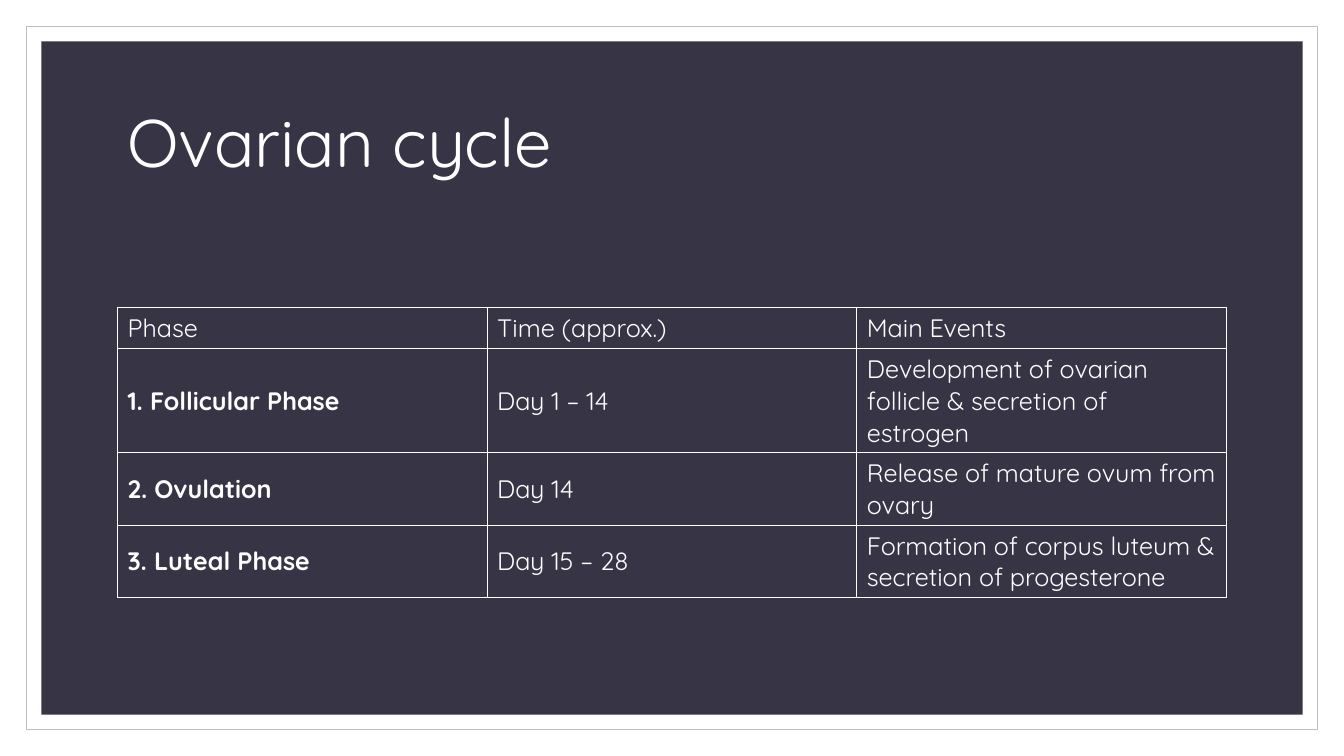
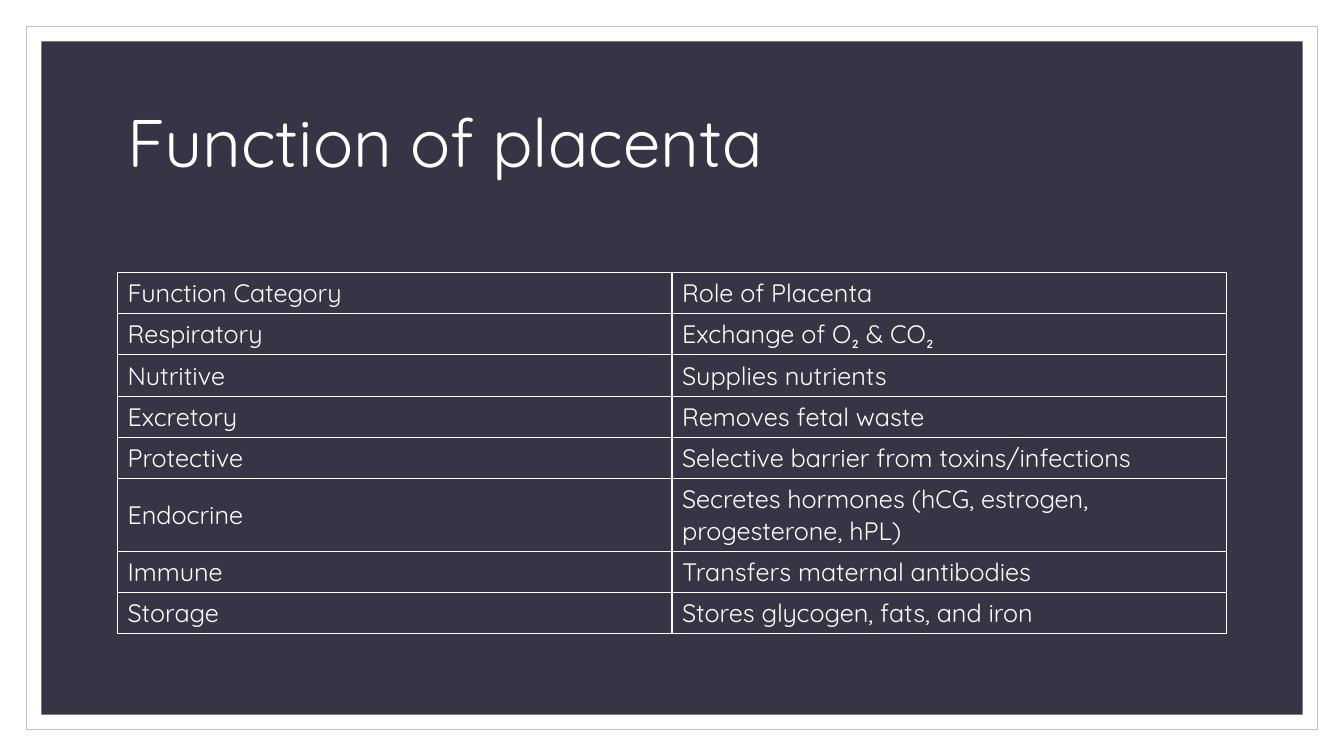
from dataclasses import dataclass

from lxml.etree import SubElement
from pptx import Presentation
from pptx.dml.color import RGBColor
from pptx.enum.shapes import MSO_SHAPE
from pptx.enum.text import MSO_ANCHOR
from pptx.oxml.ns import qn
from pptx.presentation import Presentation as Deck
from pptx.slide import Slide
from pptx.table import _Cell as Cell
from pptx.text.text import _Paragraph as Paragraph
from pptx.util import Inches, Pt

COLORS = {"paper": "FFFFFF", "frame": "BFBFBF", "panel": "373545", "text": "FFFFFF"}
FONT = "Quicksand"
SLIDE_WIDTH, SLIDE_HEIGHT = 13.33, 7.5
CONTENT_WIDTH = 11
CONTENT_LEFT = (SLIDE_WIDTH - CONTENT_WIDTH) / 2
TITLE_TOP, TITLE_HEIGHT = 0.7, 1.5
ROW_PADDING, LINE_HEIGHT = 0.1, 0.31
BLANK_LAYOUT = 6


@dataclass(frozen=True)
class Band:
    inset: float
    fill: str
    line: str | None = None


@dataclass(frozen=True)
class Row:
    texts: tuple[str, ...]
    lines: int = 1
    bold_label: bool = False


@dataclass(frozen=True)
class TablePage:
    title: str
    table_top: float
    rows: tuple[Row, ...]


BANDS = (Band(0.26, "paper", "frame"), Band(0.41, "panel"))

PAGES = (
    TablePage("Ovarian cycle", 3.05, (
        Row(("Phase", "Time (approx.)", "Main Events")),
        Row(("1. Follicular Phase", "Day 1 – 14",
             "Development of ovarian follicle & secretion of estrogen"), 3, True),
        Row(("2. Ovulation", "Day 14", "Release of mature ovum from ovary"), 2, True),
        Row(("3. Luteal Phase", "Day 15 – 28",
             "Formation of corpus luteum & secretion of progesterone"), 2, True),
    )),
    TablePage("Function of placenta", 2.7, (
        Row(("Function Category", "Role of Placenta")),
        Row(("Respiratory", "Exchange of O₂ & CO₂")),
        Row(("Nutritive", "Supplies nutrients")),
        Row(("Excretory", "Removes fetal waste")),
        Row(("Protective", "Selective barrier from toxins/infections")),
        Row(("Endocrine", "Secretes hormones (hCG, estrogen, progesterone, hPL)"), 2),
        Row(("Immune", "Transfers maternal antibodies")),
        Row(("Storage", "Stores glycogen, fats, and iron")),
    )),
)


def color(name: str) -> RGBColor:
    return RGBColor.from_string(COLORS[name])


def write(para: Paragraph, text: str, size: float, bold: bool = False) -> None:
    para.text = text
    para.font.name = FONT
    para.font.size = Pt(size)
    para.font.bold = bold
    para.font.color.rgb = color("text")


def draw_band(page: Slide, band: Band) -> None:
    shape = page.shapes.add_shape(
        MSO_SHAPE.RECTANGLE, Inches(band.inset), Inches(band.inset),
        Inches(SLIDE_WIDTH - 2 * band.inset), Inches(SLIDE_HEIGHT - 2 * band.inset))
    shape.shadow.inherit = False
    shape.fill.solid()
    shape.fill.fore_color.rgb = color(band.fill)
    if band.line:
        shape.line.color.rgb = color(band.line)
        shape.line.width = Pt(0.5)
    else:
        shape.line.fill.background()


def draw_title(page: Slide, title: str) -> None:
    box = page.shapes.add_textbox(Inches(CONTENT_LEFT), Inches(TITLE_TOP),
                                  Inches(CONTENT_WIDTH), Inches(TITLE_HEIGHT))
    frame = box.text_frame
    frame.word_wrap = True
    frame.vertical_anchor = MSO_ANCHOR.MIDDLE
    para = frame.paragraphs[0]
    para.line_spacing = 0.9
    write(para, title, 48)


def add_borders(cell: Cell) -> None:
    properties = cell._tc.get_or_add_tcPr()
    for side in ("a:lnL", "a:lnR", "a:lnT", "a:lnB"):
        line = SubElement(properties, qn(side), w=str(Pt(1)))
        fill = SubElement(line, qn("a:solidFill"))
        SubElement(fill, qn("a:srgbClr"), val=COLORS["text"])


def draw_table(page: Slide, top: float, rows: tuple[Row, ...]) -> None:
    column_count = len(rows[0].texts)
    heights = [ROW_PADDING + LINE_HEIGHT * row.lines for row in rows]
    table = page.shapes.add_table(
        len(rows), column_count, Inches(CONTENT_LEFT), Inches(top),
        Inches(CONTENT_WIDTH), Inches(sum(heights))).table
    table.first_row = False
    table.horz_banding = False
    for column in table.columns:
        column.width = Inches(CONTENT_WIDTH / column_count)
    for row_index, (row, height) in enumerate(zip(rows, heights)):
        table.rows[row_index].height = Inches(height)
        for column_index, text in enumerate(row.texts):
            cell = table.cell(row_index, column_index)
            add_borders(cell)
            cell.fill.background()
            cell.vertical_anchor = MSO_ANCHOR.MIDDLE
            write(cell.text_frame.paragraphs[0], text, 18,
                  row.bold_label and column_index == 0)


def add_page(deck: Deck, content: TablePage) -> None:
    page = deck.slides.add_slide(deck.slide_layouts[BLANK_LAYOUT])
    for band in BANDS:
        draw_band(page, band)
    draw_title(page, content.title)
    draw_table(page, content.table_top, content.rows)


def main() -> None:
    deck = Presentation()
    deck.slide_width = Inches(SLIDE_WIDTH)
    deck.slide_height = Inches(SLIDE_HEIGHT)
    for content in PAGES:
        add_page(deck, content)
    deck.save("out.pptx")


if __name__ == "__main__":
    main()
